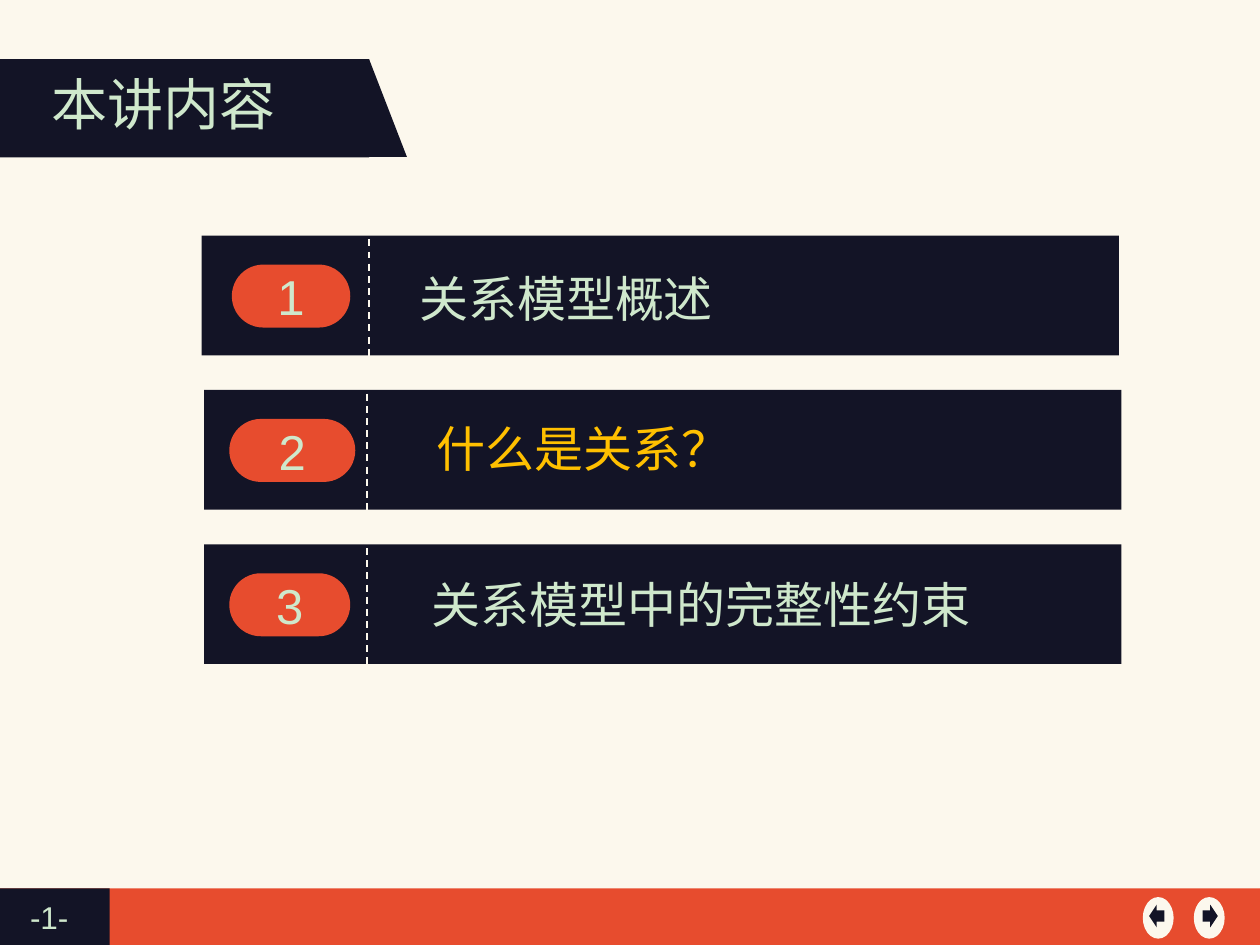
from lxml import etree
from pptx import Presentation
from pptx.dml.color import RGBColor
from pptx.enum.dml import MSO_LINE
from pptx.enum.shapes import MSO_CONNECTOR, MSO_SHAPE
from pptx.enum.text import MSO_ANCHOR, PP_ALIGN
from pptx.oxml.ns import qn
from pptx.util import Inches, Pt

RECT = MSO_SHAPE.RECTANGLE
PILL = MSO_SHAPE.ROUNDED_RECTANGLE
OVAL = MSO_SHAPE.OVAL
TRIANGLE = MSO_SHAPE.RIGHT_TRIANGLE
LEFT_ARROW = MSO_SHAPE.LEFT_ARROW
RIGHT_ARROW = MSO_SHAPE.RIGHT_ARROW
STRAIGHT = MSO_CONNECTOR.STRAIGHT
DASH = MSO_LINE.DASH
LEFT, CENTER = PP_ALIGN.LEFT, PP_ALIGN.CENTER
TOP, MIDDLE = MSO_ANCHOR.TOP, MSO_ANCHOR.MIDDLE

CREAM = RGBColor(0xFC, 0xF8, 0xED)
NAVY = RGBColor(0x13, 0x14, 0x26)
ORANGE = RGBColor(0xE7, 0x4C, 0x2E)
MINT = RGBColor(0xCF, 0xE8, 0xCC)
GOLD = RGBColor(0xFF, 0xC0, 0x00)

LATIN, CHINESE = "Arial", "Noto Sans CJK SC"
COLUMNS, ROWS = 100, 75
WIDTH, HEIGHT = Inches(10), Inches(7.5)

FIRST_ROW, ROW_STEP = 18.7, 12.25
TOPICS = [
    ("关系模型概述", MINT, 16, 29.3, (18.4, 9.4), (32.3, 2.1, 51.3)),
    ("什么是关系？", GOLD, 16.2, 29.1, (18.2, 10), (33.7, 1.8, 46.4)),
    ("关系模型中的完整性约束", MINT, 16.2, 29.1, (18.2, 9.6), (33.3, 1.9, 54.6)),
]


def place(column, row, columns, rows):
    """Turn grid units into left, top, width and height."""
    return (round(column * WIDTH / COLUMNS), round(row * HEIGHT / ROWS),
            round(columns * WIDTH / COLUMNS), round(rows * HEIGHT / ROWS))


def add_block(page, kind, area, color):
    """Add a flat filled shape without outline."""
    block = page.shapes.add_shape(kind, *place(*area))
    block.shadow.inherit = False
    block.fill.solid()
    block.fill.fore_color.rgb = color
    block.line.fill.background()
    return block


def write(box, text, size=28, font=CHINESE, color=MINT, align=LEFT, anchor=TOP, wrap=True):
    """Write one formatted line of text into a shape."""
    frame = box.text_frame
    frame.word_wrap = wrap
    frame.vertical_anchor = anchor
    para = frame.paragraphs[0]
    para.alignment = align
    span = para.add_run()
    span.text = text
    span.font.size = Pt(size)
    span.font.color.rgb = color
    span.font.name = font
    east_asian = etree.SubElement(span.font._element, qn("a:ea"))
    east_asian.set("typeface", font)


def add_text(page, text, area, **style):
    """Add a text box with one line of text."""
    write(page.shapes.add_textbox(*place(*area)), text, **style)


def add_divider(page, column, row, rows):
    """Add a vertical dashed line."""
    left, top, _, height = place(column, row, 0, rows)
    divider = page.shapes.add_connector(STRAIGHT, left, top, left, top + height)
    divider.line.color.rgb = CREAM
    divider.line.width = Pt(1)
    divider.line.dash_style = DASH
    etree.SubElement(divider._element.spPr, qn("a:effectLst"))


def add_topic(page, index, topic):
    """Add one numbered bar of the outline."""
    text, color, bar, divider, (pill, pill_width), (column, drop, columns) = topic
    row = FIRST_ROW + index * ROW_STEP
    add_block(page, RECT, (bar, row, 72.8, 9.5), NAVY)
    add_divider(page, divider, row + 0.3, 9.6)
    badge = add_block(page, PILL, (pill, row + 2.3, pill_width, 5), ORANGE)
    badge.adjustments[0] = 0.5
    write(badge, str(index + 1), font=LATIN, align=CENTER, anchor=MIDDLE)
    add_text(page, text, (column, row + drop, columns, 5.7), color=color)


def add_title(page):
    """Add the heading banner."""
    add_block(page, RECT, (0, 4.7, 29.3, 7.8), NAVY)
    add_block(page, TRIANGLE, (29.3, 4.7, 3, 7.75), NAVY)
    add_text(page, "本讲内容", (3.1, 5, 19.8, 6.4), size=32, align=CENTER, wrap=False)


def add_footer(page):
    """Add the footer band, page number and arrow buttons."""
    add_block(page, RECT, (0, 70.5, COLUMNS, 4.5), ORANGE)
    add_block(page, RECT, (0, 70.5, 8.7, 4.5), NAVY)
    add_text(page, "-1-", (1.4, 70.8, 6.4, 4), size=18, font=LATIN)
    for kind, column, inset in ((LEFT_ARROW, 90.7, 0.5), (RIGHT_ARROW, 94.75, 0.7)):
        add_block(page, OVAL, (column, 71.2, 2.45, 3.3), CREAM)
        add_block(page, kind, (column + inset, 71.8, 1.2, 1.8), NAVY)


def main():
    """Build the outline slide."""
    deck = Presentation()
    deck.slide_width, deck.slide_height = WIDTH, HEIGHT
    page = deck.slides.add_slide(deck.slide_layouts[6])
    page.background.fill.solid()
    page.background.fill.fore_color.rgb = CREAM
    add_title(page)
    for index, topic in enumerate(TOPICS):
        add_topic(page, index, topic)
    add_footer(page)
    deck.save("out.pptx")


if __name__ == "__main__":
    main()
